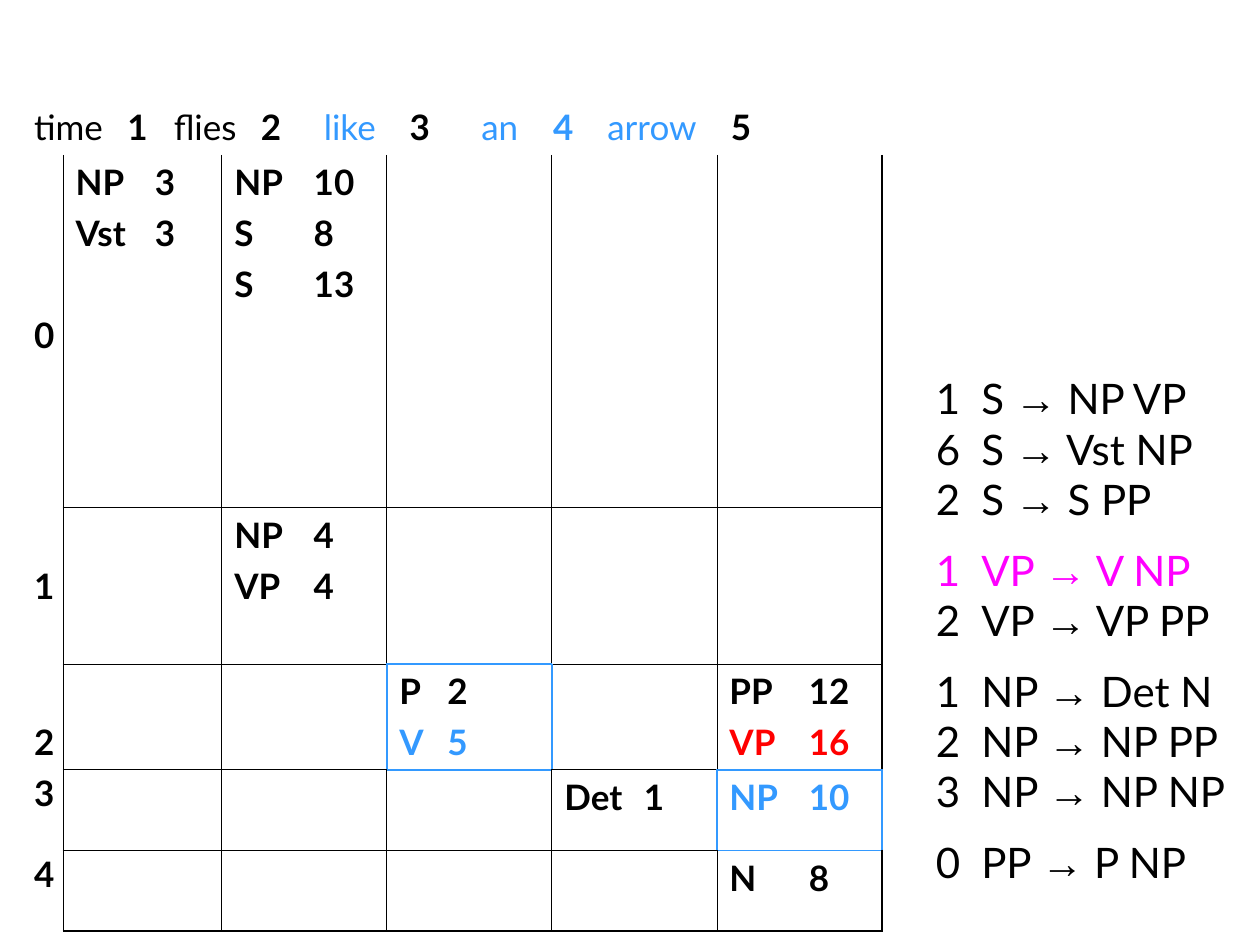
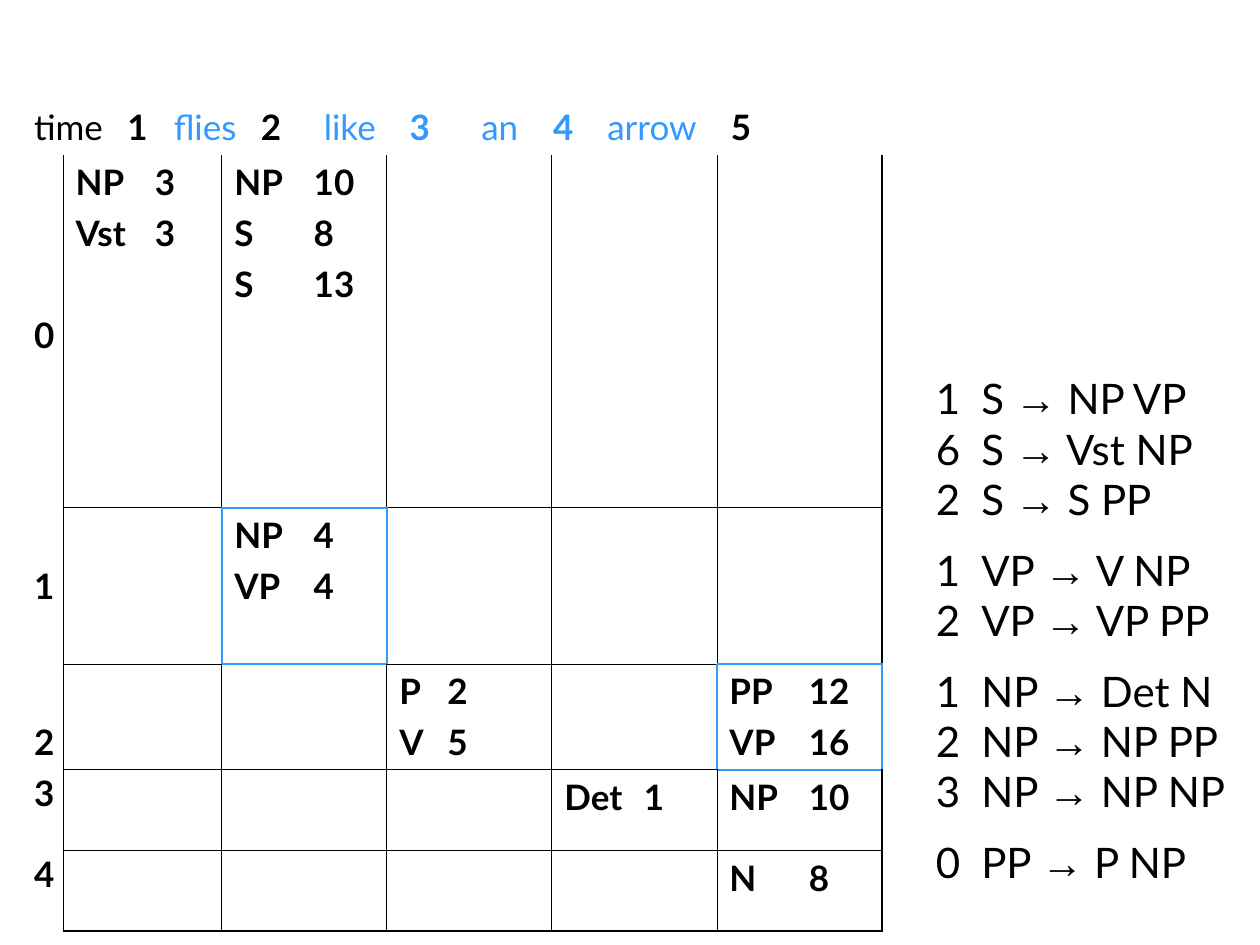
from lxml import etree
from pptx import Presentation
from pptx.dml.color import RGBColor
from pptx.enum.text import MSO_ANCHOR, PP_ALIGN
from pptx.oxml.ns import qn
from pptx.util import Inches, Pt

CENTER, LEFT = PP_ALIGN.CENTER, PP_ALIGN.LEFT
TOP = MSO_ANCHOR.TOP
COLORS = {"text": "000000", "blue": "3399FF", "red": "FF0000", "magenta": "FF00FF"}
FONT, ARROW_FONT = "Lato", "Arial"
THIN, THICK = 0.45, 1.08

COLUMNS = [0.33, 1.26] + [1.31] * 4
ROWS = [0.44, 2.8, 1.24, 0.84, 0.64, 0.64]
LAST_ROW, LAST_COL = len(ROWS) - 1, len(COLUMNS) - 1

SENTENCE = ["time", "1", "flies", "2", "like", "3", "an", "4", "arrow", "5"]
SENTENCE_TABS = [0.74, 1.11, 1.8, 2.3, 2.98, 3.55, 4.12, 4.55, 5.53]
LABEL_SPACING = {2: 2.2, 3: 2.2, 4: 0.9, 5: 0.9}
ENTRIES = {
    (1, 1): ["NP\t3", "Vst\t3"],
    (1, 2): ["NP\t10", "S\t8", "S\t13"],
    (2, 2): ["NP\t4", "VP\t4"],
    (3, 3): ["P\t2", "V\t5"],
    (3, 5): ["PP\t12", "VP\t16"],
    (4, 4): ["Det\t1"],
    (4, 5): ["NP\t10"],
    (5, 5): ["N\t8"],
}
GRAMMAR = [
    [("1", "S", "NP VP"), ("6", "S", "Vst NP"), ("2", "S", "S PP")],
    [("1", "VP", "V NP"), ("2", "VP", "VP PP")],
    [("1", "NP", "Det N"), ("2", "NP", "NP PP"), ("3", "NP", "NP NP")],
    [("0", "PP", "P NP")],
]

STEPS = [
    {
        "words": {"like", "an", "4", "arrow"},
        "cells": {(3, 3), (4, 5)},
        "entries": {(3, 3, "V\t5"): "blue", (3, 5, "VP\t16"): "red",
                    (4, 5, "NP\t10"): "blue"},
        "rule": ("1", "VP", "V NP"),
    },
    {
        "words": {"flies", "like", "3", "an", "4", "arrow"},
        "cells": {(2, 2), (3, 5)},
        "entries": {},
        "rule": None,
    },
]


def add_text(p, text, size=20, color="text", bold=False, font=FONT):
    r = p.add_run()
    r.text = text
    r.font.size, r.font.bold, r.font.name = Pt(size), bold, font
    r.font.color.rgb = RGBColor.from_string(COLORS[color])


def paragraph(tf, first, align=LEFT, line=None, before=0, tabs=()):
    """Return the first or a new paragraph with tab stops in inches."""
    p = tf.paragraphs[0] if first else tf.add_paragraph()
    if tabs:
        tab_list = etree.SubElement(p._p.get_or_add_pPr(), qn("a:tabLst"))
        for pos in tabs:
            etree.SubElement(tab_list, qn("a:tab"), pos=str(Inches(pos)), algn="l")
    p.alignment = align
    if line:
        p.line_spacing = line
    if before and not first:
        p.space_before = Pt(before)
    return p


def set_border(cell, side, color, width):
    """Draw one side (L, R, T or B) of a cell; no colour means no line."""
    ln = etree.SubElement(cell._tc.get_or_add_tcPr(), qn(f"a:ln{side}"),
                          w=str(Pt(width)))
    if color:
        fill = etree.SubElement(ln, qn("a:solidFill"))
        etree.SubElement(fill, qn("a:srgbClr"), val=COLORS[color])
    else:
        etree.SubElement(ln, qn("a:noFill"))


def edge_style(row, col, side, marked):
    """Colour and width of the edge a cell shares with its neighbour."""
    d_row, d_col = {"L": (0, -1), "R": (0, 1), "T": (-1, 0), "B": (1, 0)}[side]
    neighbour = (row + d_row, col + d_col)
    if (row, col) in marked or neighbour in marked:
        return "blue", THICK
    if row == 0 or neighbour[0] == 0 or (col == 0 and side != "R"):
        return None, THIN
    outer = neighbour[0] > LAST_ROW or neighbour[1] > LAST_COL
    return "text", THICK if outer else THIN


class ChartDeck:
    def __init__(self):
        self.prs = Presentation()
        self.prs.slide_width, self.prs.slide_height = Inches(10), Inches(7.5)
        self.s = None

    def new_slide(self):
        self.s = self.prs.slides.add_slide(self.prs.slide_layouts[6])

    def parse_table(self, step):
        sp = self.s.shapes.add_table(len(ROWS), len(COLUMNS), Inches(0.17),
                                     Inches(0.79), Inches(sum(COLUMNS)),
                                     Inches(sum(ROWS)))
        table = sp.table
        table.first_row = table.horz_banding = False
        for column, width in zip(table.columns, COLUMNS):
            column.width = Inches(width)
        for row, height in zip(table.rows, ROWS):
            row.height = Inches(height)
        for r in range(len(ROWS)):
            for c in range(len(COLUMNS)):
                cell = table.cell(r, c)
                for side in "LRTB":
                    set_border(cell, side, *edge_style(r, c, side, step["cells"]))
                cell.fill.background()
                cell.vertical_anchor = TOP
        table.cell(0, 0).merge(table.cell(0, LAST_COL))
        self.sentence(table.cell(0, 0), step["words"])
        self.row_labels(table)
        self.entries(table, step["entries"])

    def sentence(self, cell, marked):
        p = paragraph(cell.text_frame, True, tabs=SENTENCE_TABS)
        for i, word in enumerate(SENTENCE):
            add_text(p, word if i == 0 else "\t" + word, bold=word.isdigit(),
                     color="blue" if word in marked else "text")

    def row_labels(self, table):
        table.cell(1, 0).margin_top = Inches(1.26)
        for row in range(1, len(ROWS)):
            p = paragraph(table.cell(row, 0).text_frame, True, align=CENTER,
                          line=LABEL_SPACING.get(row))
            add_text(p, str(row - 1), bold=True)

    def entries(self, table, colors):
        for (row, col), lines in ENTRIES.items():
            stop = 0.38 if col == 3 else 0.63
            for i, line in enumerate(lines):
                p = paragraph(table.cell(row, col).text_frame, i == 0,
                              before=5, tabs=[stop])
                add_text(p, line, bold=True,
                         color=colors.get((row, col, line), "text"))

    def grammar(self, marked):
        sp = self.s.shapes.add_textbox(Inches(7.33), Inches(2.91), Inches(2.67),
                                       Inches(4.18))
        tf = sp.text_frame
        tf.word_wrap = True
        for g, group in enumerate(GRAMMAR):
            for i, rule in enumerate(group):
                weight, left, right = rule
                p = paragraph(tf, g == i == 0, tabs=[0.36],
                              line=1.4 if g and i == 0 else None)
                style = {"size": 24, "color": "magenta" if rule == marked else "text"}
                add_text(p, f"{weight}\t{left} ", **style)
                add_text(p, "→", font=ARROW_FONT, **style)
                add_text(p, f" {right}", **style)


def main():
    deck = ChartDeck()
    for step in STEPS:
        deck.new_slide()
        deck.parse_table(step)
        deck.grammar(step["rule"])
    deck.prs.save("out.pptx")


if __name__ == "__main__":
    main()
